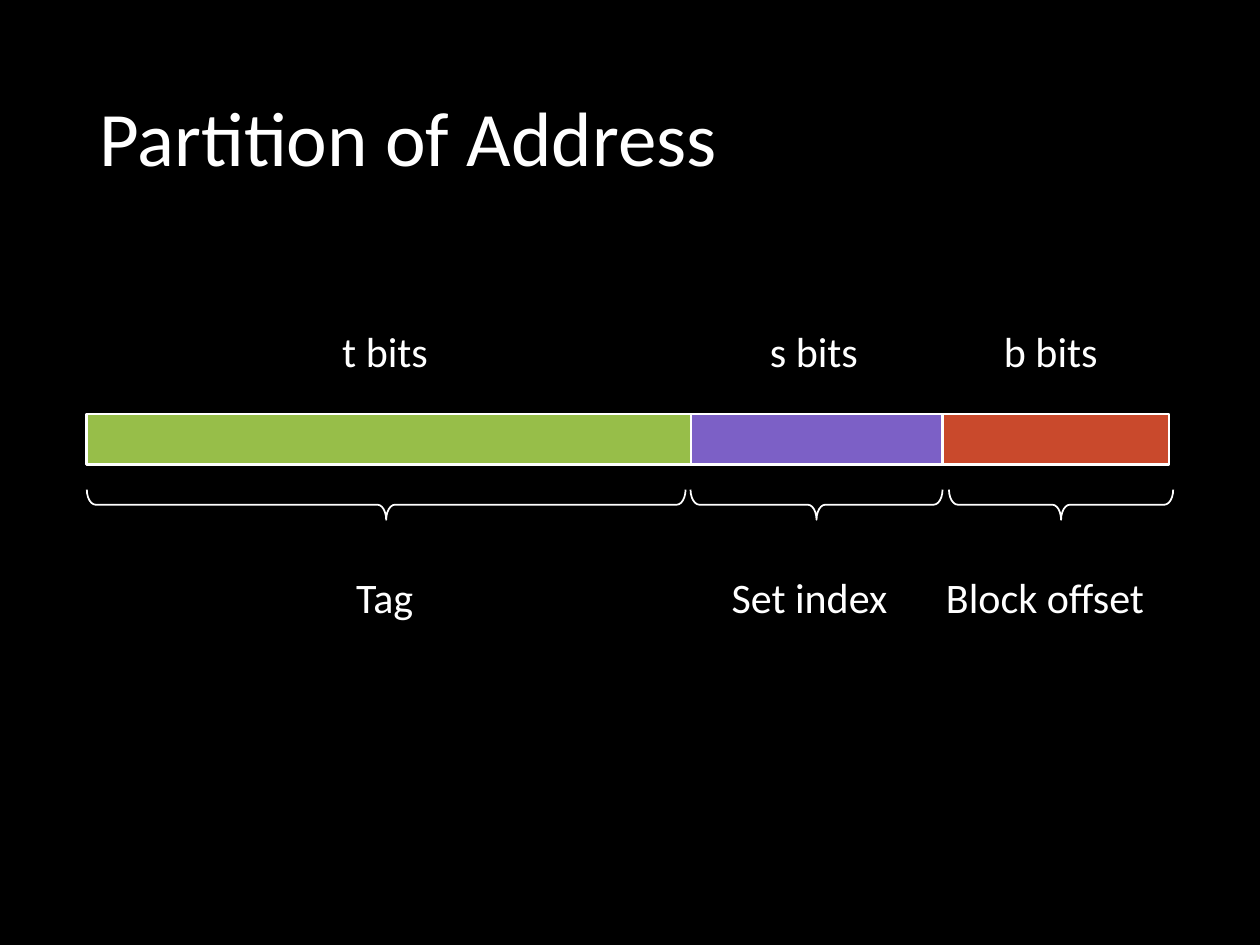
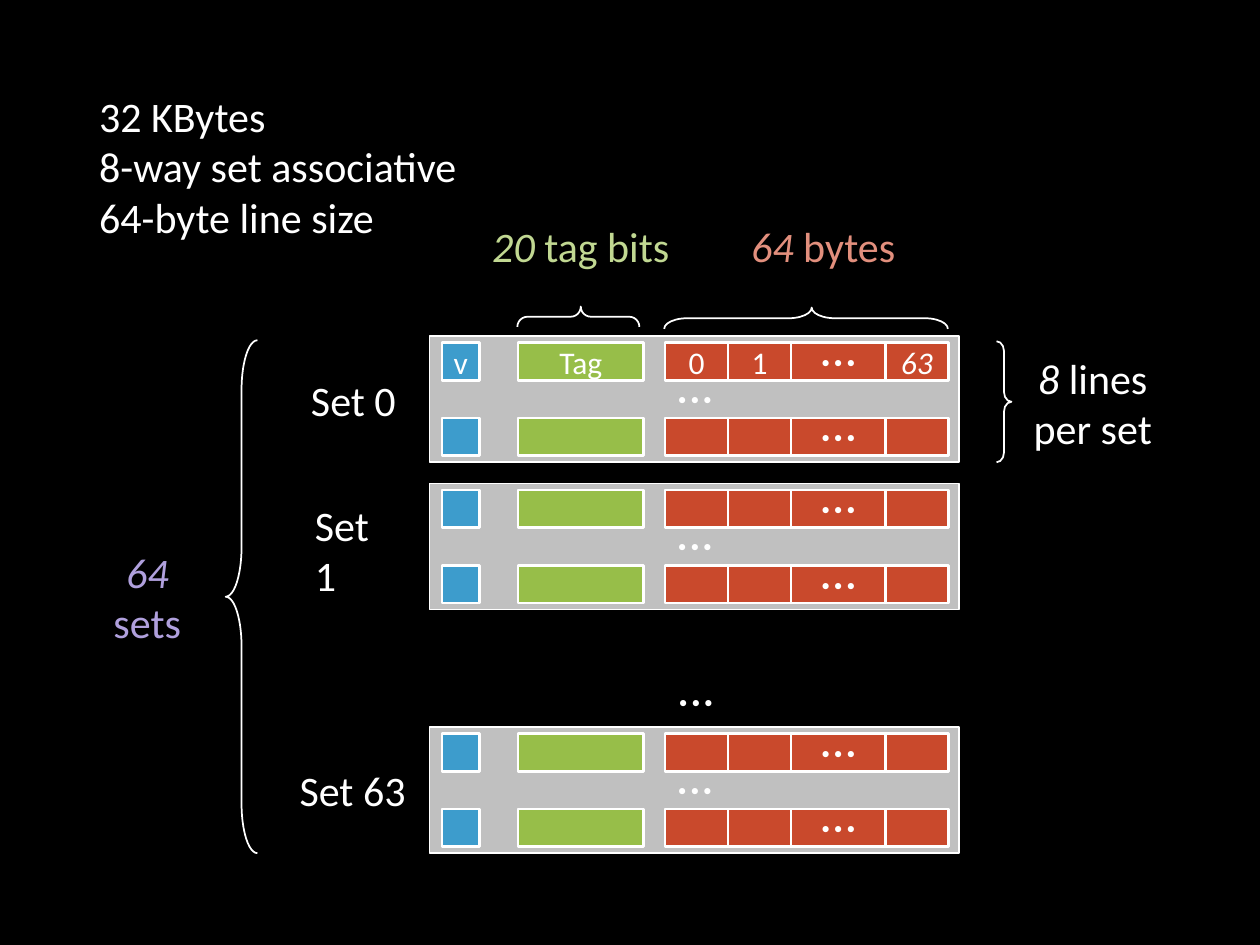
from pptx import Presentation
from pptx.dml import color
from pptx.enum import shapes, text
from pptx.util import Cm, Pt

BLACK, WHITE, GRAY = "000000", "FFFFFF", "C0C0C0"
GREEN, PURPLE, RED, BLUE = "97BE49", "7C60C6", "C9492C", "3D9CCC"
PALE_GREEN, PALE_PURPLE, PALE_RED = "C1D892", "B0A0DD", "E28F7D"
DOTS = "• • •"
LEFT, CENTER = text.PP_ALIGN.LEFT, text.PP_ALIGN.CENTER


def rgb(value):
    return color.RGBColor.from_string(value)


class Painter:
    """Holds the shared style and the current slide."""

    font = "Calibri"

    def __init__(self):
        self.deck = Presentation()
        self.deck.slide_width, self.deck.slide_height = Cm(25.4), Cm(19.05)
        background = self.deck.slide_master.background.fill
        background.solid()
        background.fore_color.rgb = rgb(BLACK)
        self.page = None

    def new_page(self, layout):
        self.page = self.deck.slides.add_slide(self.deck.slide_layouts[layout])

    def set_text(self, frame, lines, size, ink=WHITE, align=CENTER):
        """Fill a text frame; parts between asterisks are italic."""
        frame.vertical_anchor = text.MSO_ANCHOR.MIDDLE
        for index, line in enumerate(lines.split("\n")):
            para = frame.add_paragraph() if index else frame.paragraphs[0]
            para.alignment = align
            para.font.name, para.font.size = self.font, Pt(size)
            para.font.color.rgb = rgb(ink)
            for part, words in enumerate(line.split("*")):
                if words:
                    span = para.add_run()
                    span.text = words
                    if part % 2:
                        span.font.italic = True

    def title(self, words):
        box = self.page.shapes.title
        box.left, box.top, box.width, box.height = Cm(1.75), Cm(1.02), Cm(21.9), Cm(3.68)
        self.set_text(box.text_frame, words, 44, align=LEFT)
        box.text_frame.paragraphs[0].line_spacing = 0.9

    def label(self, lines, left, top, width, height=1.27, size=24, ink=WHITE,
              align=LEFT, wrap=False, grow=True):
        box = self.page.shapes.add_textbox(Cm(left), Cm(top), Cm(width), Cm(height))
        frame = box.text_frame
        frame.word_wrap = wrap
        frame.auto_size = (text.MSO_AUTO_SIZE.SHAPE_TO_FIT_TEXT if grow
                           else text.MSO_AUTO_SIZE.NONE)
        self.set_text(frame, lines, size, ink, align)

    def block(self, left, top, width, height, fill, words="", border=1.5):
        box = self.page.shapes.add_shape(shapes.MSO_SHAPE.RECTANGLE,
                                         Cm(left), Cm(top), Cm(width), Cm(height))
        box.shadow.inherit = False
        box.fill.solid()
        box.fill.fore_color.rgb = rgb(fill)
        box.line.color.rgb = rgb(WHITE)
        box.line.width = Pt(border)
        if words:
            box.text_frame.word_wrap = False
            self.set_text(box.text_frame, words, 10 if words == DOTS else 18)

    def brace(self, left, top, width, height, bend, tip=0.5, turn=0,
              kind=shapes.MSO_SHAPE.RIGHT_BRACE):
        """Draw a brace over the area it covers after a quarter turn, if any."""
        if turn:
            left, top = left + (width - height) / 2, top + (height - width) / 2
            width, height = height, width
        box = self.page.shapes.add_shape(kind, Cm(left), Cm(top), Cm(width), Cm(height))
        box.rotation = turn
        box.adjustments[0], box.adjustments[1] = bend, tip
        box.shadow.inherit = False
        box.fill.background()
        box.line.color.rgb = rgb(WHITE)
        box.line.width = Pt(1)

    def cache_line(self, left, top, valid="", tag="", cells=("", "", DOTS, "")):
        self.block(left + 0.25, top, 0.76, 0.76, BLUE, valid)
        self.block(left + 1.78, top, 2.54, 0.76, GREEN, tag)
        cell_left = left + 4.75
        for words, width in zip(cells, (1.27, 1.27, 1.9, 1.27)):
            self.block(cell_left, top, width, 0.76, RED, words)
            cell_left += width

    def dots(self, left, top):
        self.label(DOTS, left, top, 1.9, 0.76, size=10, align=CENTER, grow=False)

    def cache_set(self, top, **first_line):
        left = 8.66
        self.block(left, top, 10.67, 2.54, GRAY, border=1)
        self.cache_line(left, top + 0.13, **first_line)
        self.cache_line(left, top + 1.65)
        self.dots(left + 4.4, top + 0.87)


def address_page(painter):
    painter.new_page(5)
    painter.title("Partition of Address")

    # Address fields: left, width, fill
    for left, width, fill in ((19, 4.57, RED), (13.92, 5.08, PURPLE), (1.75, 12.18, GREEN)):
        painter.block(left, 8.35, width, 1.02, fill)

    # Field sizes above, field names below
    for words, left, width in (("t bits", 6.65, 2.36), ("s bits", 15.27, 2.39),
                               ("b bits", 19.99, 2.51)):
        painter.label(words, left, 6.43, width)
    for words, left, width in (("Tag", 6.93, 1.8), ("Set index", 14.5, 3.91),
                               ("Block offset", 18.82, 4.83)):
        painter.label(words, left, 11.4, width)

    # Braces under the fields
    for left, width in ((1.75, 12.07), (13.92, 5.08), (19.13, 4.52)):
        painter.brace(left, 9.87, width, 0.61, 0.29, turn=90)


def cache_page(painter):
    painter.new_page(6)
    painter.label("32 KBytes\n8-way set associative\n64-byte line size",
                  1.75, 1.68, 7.85, 3.33, wrap=True)

    # Sets of lines
    painter.cache_set(6.78, valid="v", tag="Tag", cells=("0", "1", DOTS, "*63*"))
    painter.cache_set(9.75)
    painter.cache_set(14.66)
    painter.dots(13.08, 13.77)

    # Set names
    painter.label("Set 0", 6.02, 7.42, 2.36)
    painter.label("Set 1", 6.1, 9.94, 2.1, 2.29, wrap=True)
    painter.label("Set 63", 5.79, 15.29, 2.77)

    # Dimensions
    painter.label("*20 *tag bits", 9.6, 4.32, 4.22, ink=PALE_GREEN, align=CENTER)
    painter.label("*64 *bytes", 14.83, 4.32, 3.53, ink=PALE_RED, align=CENTER)
    painter.label("*8* lines\nper set", 20.52, 6.96, 3.02, 2.31, align=CENTER)
    painter.label("*64*\nsets", 1.98, 10.87, 1.98, 2.31, ink=PALE_PURPLE, align=CENTER)

    # Braces
    painter.brace(10.43, 6.18, 2.46, 0.41, 0.5, 0.52, turn=270)
    painter.brace(13.39, 6.2, 5.72, 0.43, 1.08, 0.52, turn=270)
    painter.brace(20.09, 6.88, 0.3, 2.44, 0.66)
    painter.brace(4.55, 6.86, 0.64, 10.34, 1.56, kind=shapes.MSO_SHAPE.LEFT_BRACE)


def main():
    painter = Painter()
    address_page(painter)
    cache_page(painter)
    painter.deck.save("out.pptx")


if __name__ == "__main__":
    main()
